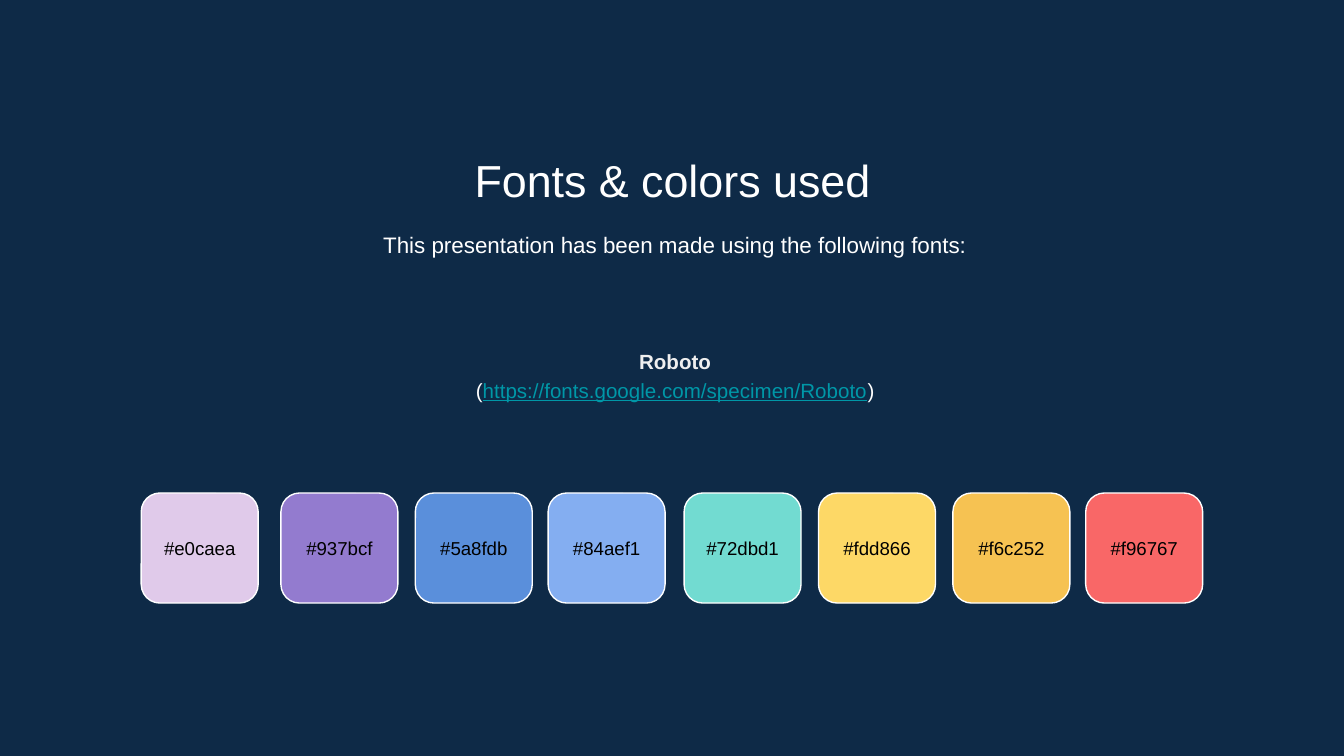
from pptx import Presentation
from pptx.dml.color import RGBColor
from pptx.enum.shapes import MSO_SHAPE
from pptx.enum.text import MSO_ANCHOR, PP_ALIGN
from pptx.util import Cm, Pt

ROUNDED = MSO_SHAPE.ROUNDED_RECTANGLE
TOP, MIDDLE = MSO_ANCHOR.TOP, MSO_ANCHOR.MIDDLE
CENTER = PP_ALIGN.CENTER

THEME = {
    "font": "Arial",
    "background": "0E2A47", "light": "FFFFFF", "name": "EFEFEF",
    "link": "0097A7", "label": "000000",
    "title_size": 24, "intro_size": 12, "font_size": 11, "label_size": 10,
}

# A paragraph is a list of runs: (text, colour key, bold, underline)
TITLE = [[("Fonts & colors used", "light", False, False)]]
INTRO = [[("This presentation has been made using the following fonts:",
           "light", False, False)]]
FONT_CREDIT = [
    [("Roboto", "name", True, False)],
    [("(", "light", False, False),
     ("https://fonts.google.com/specimen/Roboto", "link", False, True),
     (")", "light", False, False)],
]

# (left, top, width, height) in cm, paragraphs, size key, anchor, line spacing
TEXT_BLOCKS = [
    ((2.92, 2.64, 19.58, 1.35), TITLE, "title_size", TOP, 1.0),
    ((2.97, 4.04, 19.58, 1.22), INTRO, "intro_size", TOP, 1.15),
    ((2.97, 5.33, 19.58, 3.48), FONT_CREDIT, "font_size", MIDDLE, 1.15),
]

# (left in cm, colour code)
SWATCHES = [
    (2.67, "#e0caea"), (5.31, "#937bcf"), (7.85, "#5a8fdb"), (10.36, "#84aef1"),
    (12.93, "#72dbd1"), (15.47, "#fdd866"), (18.01, "#f6c252"), (20.52, "#f96767"),
]
SWATCH_TOP, SWATCH_W, SWATCH_H = 9.32, 2.21, 2.08


def rgb(code):
    return RGBColor.from_string(code.lstrip("#").upper())


def write(tf, paragraphs, size_key, anchor, spacing=1.0, margin=0.25):
    """Fill a text frame with centred paragraphs made of styled runs."""
    tf.word_wrap = True
    tf.vertical_anchor = anchor
    tf.margin_left = tf.margin_right = Cm(margin)
    tf.margin_top = tf.margin_bottom = Cm(margin)
    for i, runs in enumerate(paragraphs):
        p = tf.add_paragraph() if i else tf.paragraphs[0]
        p.alignment = CENTER
        p.line_spacing = spacing
        for text, color, bold, underline in runs:
            r = p.add_run()
            r.text = text
            r.font.name = THEME["font"]
            r.font.size = Pt(THEME[size_key])
            r.font.color.rgb = rgb(THEME[color])
            r.font.bold = bold
            r.font.underline = underline


def add_swatch(s, left, code):
    sp = s.shapes.add_shape(ROUNDED, Cm(left), Cm(SWATCH_TOP),
                            Cm(SWATCH_W), Cm(SWATCH_H))
    sp.shadow.inherit = False
    sp.adjustments[0] = 0.17
    sp.fill.solid()
    sp.fill.fore_color.rgb = rgb(code)
    sp.line.color.rgb = rgb(THEME["light"])
    sp.line.width = Pt(0.75)
    write(sp.text_frame, [[(code, "label", False, False)]], "label_size",
          MIDDLE, margin=0)


def main():
    prs = Presentation()
    prs.slide_width, prs.slide_height = Cm(25.4), Cm(14.29)
    s = prs.slides.add_slide(prs.slide_layouts[6])
    s.background.fill.solid()
    s.background.fill.fore_color.rgb = rgb(THEME["background"])

    for box, paragraphs, size_key, anchor, spacing in TEXT_BLOCKS:
        tb = s.shapes.add_textbox(*map(Cm, box))
        write(tb.text_frame, paragraphs, size_key, anchor, spacing)
    for left, code in SWATCHES:
        add_swatch(s, left, code)

    prs.save("out.pptx")


if __name__ == "__main__":
    main()
